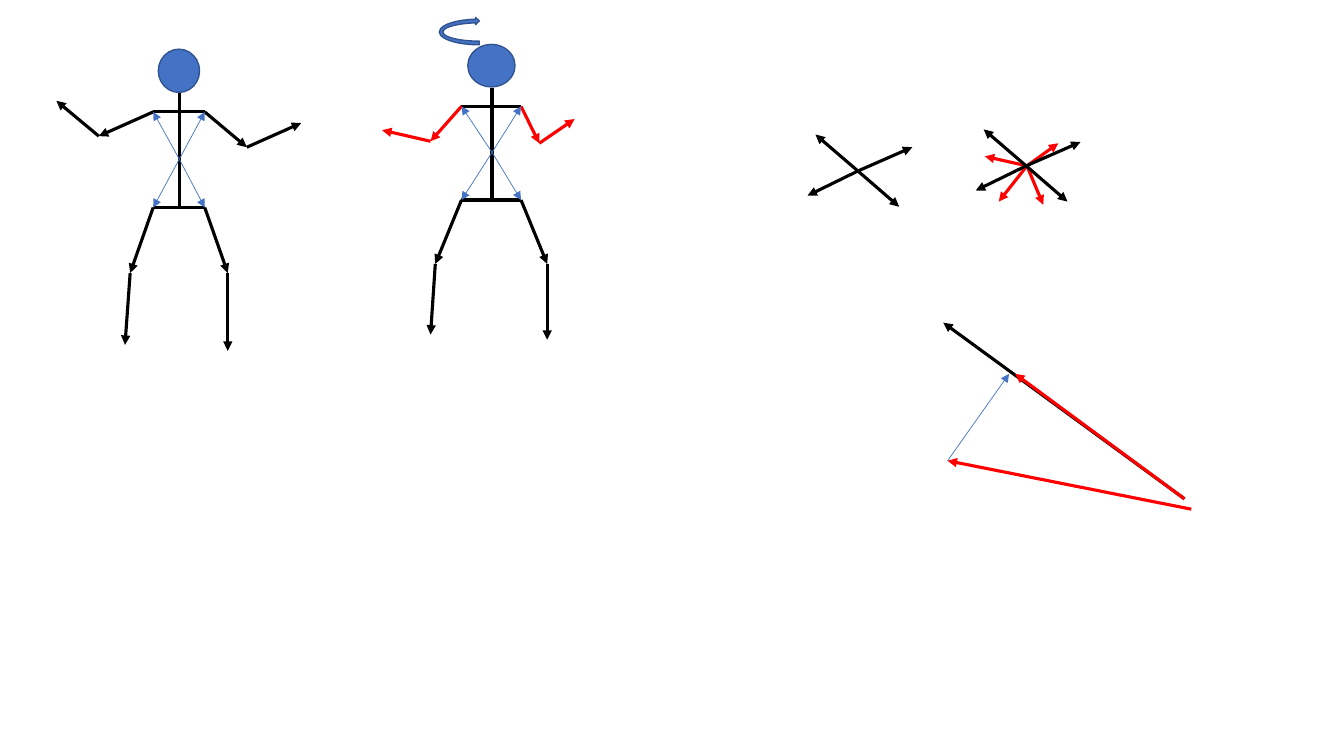
import pptx
import pptx.dml.color
import pptx.enum.shapes
import pptx.oxml.ns
import pptx.util
from lxml import etree
from pptx.util import Cm

BLACK = pptx.dml.color.RGBColor(0x00, 0x00, 0x00)
RED = pptx.dml.color.RGBColor(0xFF, 0x00, 0x00)
BLUE = pptx.dml.color.RGBColor(0x44, 0x72, 0xC4)
DARK_BLUE = pptx.dml.color.RGBColor(0x32, 0x54, 0x91)
SHAPE = pptx.enum.shapes.MSO_SHAPE


def add_line(shapes, start, end, color=BLACK, width=2.25, arrow=True):
    """Draw a straight line between two points in cm, with an arrowhead at its end."""
    line = shapes.add_connector(
        pptx.enum.shapes.MSO_CONNECTOR.STRAIGHT,
        Cm(start[0]), Cm(start[1]), Cm(end[0]), Cm(end[1]))
    line.line.color.rgb = color
    line.line.width = pptx.util.Pt(width)
    if arrow:
        outline = line.line._get_or_add_ln()
        etree.SubElement(outline, pptx.oxml.ns.qn("a:tailEnd"), type="triangle")
    properties = line._element.spPr
    etree.SubElement(properties, pptx.oxml.ns.qn("a:effectLst"))


def add_blue_shape(shapes, kind, left, top, width, height):
    shape = shapes.add_shape(kind, Cm(left), Cm(top), Cm(width), Cm(height))
    shape.shadow.inherit = False
    shape.fill.solid()
    shape.fill.fore_color.rgb = BLUE
    shape.line.color.rgb = DARK_BLUE
    shape.line.width = pptx.util.Pt(1)
    return shape


presentation = pptx.Presentation()
presentation.slide_width = Cm(33.87)
presentation.slide_height = Cm(19.05)
slide = presentation.slides.add_slide(presentation.slide_layouts[6])

# Stick figures: limbs run from the body outwards, left limb first
figures = [
    {"head": (3.99, 1.24, 1.04, 1.09), "neck": (4.52, 2.34), "center": (4.52, 4.01),
     "sides": (3.86, 5.16), "shoulder_y": 2.82, "hip_y": 5.23, "arm_color": BLACK,
     "legs": [[(3.28, 6.88), (3.15, 8.69)], [(5.74, 6.88), (5.74, 8.84)]],
     "arms": [[(2.49, 3.43), (1.42, 2.54)], [(6.22, 3.71), (7.59, 3.1)]]},
    {"head": (11.79, 1.12, 1.19, 1.07), "neck": (12.4, 2.21), "center": (12.4, 3.84),
     "sides": (11.63, 13.13), "shoulder_y": 2.68, "hip_y": 5.04, "arm_color": RED,
     "legs": [[(10.97, 6.65), (10.85, 8.43)], [(13.79, 6.65), (13.79, 8.56)]],
     "arms": [[(10.85, 3.56), (9.63, 3.28)], [(13.59, 3.61), (14.48, 3)]]},
]
for figure in figures:
    parts = slide.shapes.add_group_shape().shapes
    add_blue_shape(parts, SHAPE.OVAL, *figure["head"])
    add_line(parts, figure["neck"], (figure["neck"][0], figure["hip_y"]), arrow=False)
    shoulders = [(x, figure["shoulder_y"]) for x in figure["sides"]]
    hips = [(x, figure["hip_y"]) for x in figure["sides"]]
    for left_joint, right_joint in (shoulders, hips):
        add_line(parts, right_joint, left_joint, arrow=False)
    for joints, limbs, color in ((hips, figure["legs"], BLACK),
                                 (shoulders, figure["arms"], figure["arm_color"])):
        for joint, (middle, tip) in zip(joints, limbs):
            add_line(parts, joint, middle, color)
            add_line(parts, middle, tip, color)
    for joint in hips + shoulders:
        add_line(parts, figure["center"], joint, BLUE, 0.5)

# Arm directions gathered at a common origin
for tip in ((26.29, 5.16), (26.67, 3.61), (24.82, 3.94), (25.17, 5.08)):
    add_line(slide.shapes, (25.88, 4.18), tip, RED)
for x, y in ((21.62, 4.31), (25.86, 4.18)):
    for dx, dy in ((1.04, 0.9), (1.37, -0.6), (-1.07, -0.92), (-1.27, 0.62)):
        add_line(slide.shapes, (x, y), (x + dx, y + dy))

# Projection of one arm direction on the other
directions = slide.shapes.add_group_shape().shapes
add_line(directions, (30.02, 12.83), (23.88, 11.61), RED)
add_line(directions, (29.85, 12.57), (23.77, 8.13))
add_line(slide.shapes, (29.85, 12.57), (25.58, 9.42), RED)
add_line(slide.shapes, (23.88, 11.61), (25.43, 9.42), BLUE, 0.5)

turn_arrow = add_blue_shape(slide.shapes, SHAPE.CIRCULAR_ARROW, 11.71, -0.25, 0.74, 2.11)
turn_arrow.rotation = 270

presentation.save("out.pptx")
